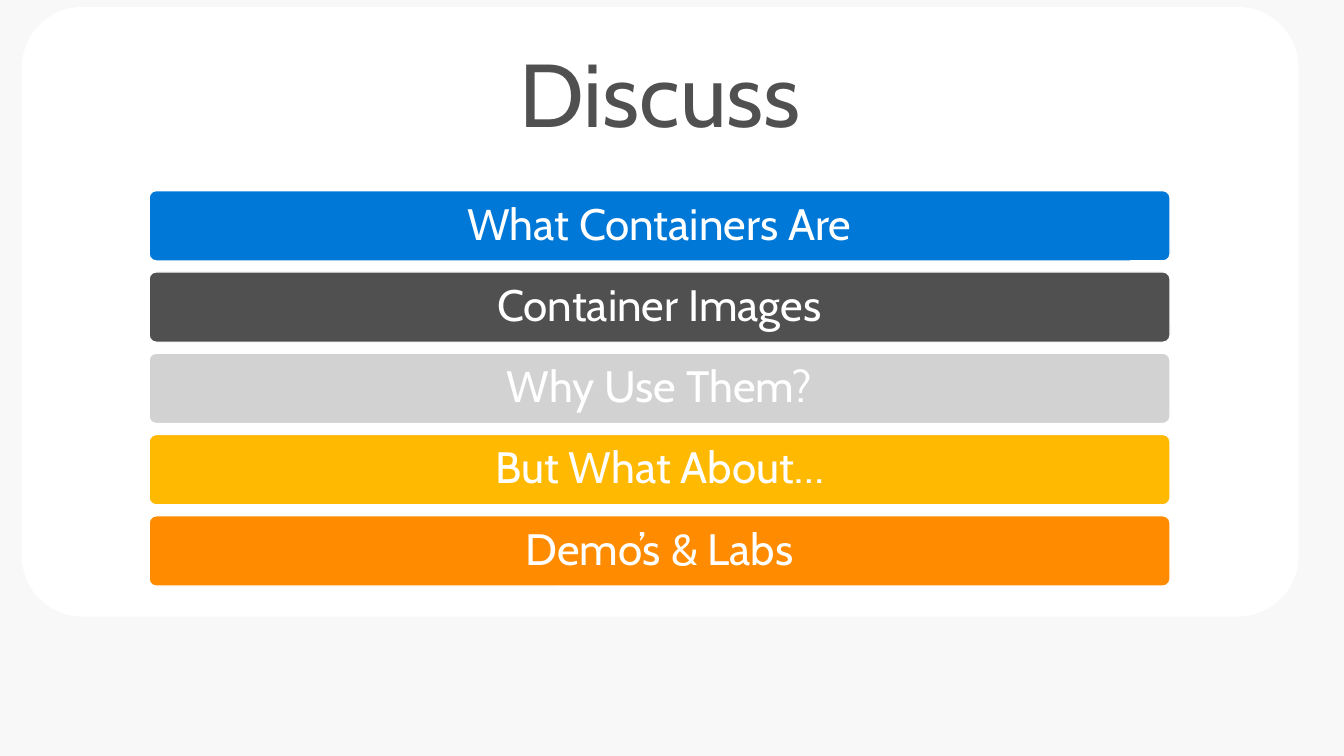
from dataclasses import dataclass

from pptx import Presentation
from pptx.dml.color import RGBColor
from pptx.enum.shapes import MSO_SHAPE
from pptx.enum.text import MSO_ANCHOR, MSO_AUTO_SIZE, PP_ALIGN
from pptx.shapes.autoshape import Shape
from pptx.slide import Slide
from pptx.util import Inches, Pt

ROUNDED = MSO_SHAPE.ROUNDED_RECTANGLE
MIDDLE = MSO_ANCHOR.MIDDLE
NO_FIT = MSO_AUTO_SIZE.NONE
CENTER = PP_ALIGN.CENTER

COLOURS = {
    "background": "F8F8F8",
    "white": "FFFFFF",
    "blue": "0078D7",
    "charcoal": "505050",
    "silver": "D2D2D2",
    "yellow": "FFB900",
    "orange": "FF8C00",
}
CARD_LEFT, CARD_TOP, CARD_WIDTH, CARD_HEIGHT = 0.22, 0.07, 12.92, 6.17
TITLE_HEIGHT = 1.85
BAR_LEFT, BAR_TOP, BAR_WIDTH, BAR_HEIGHT = 1.51, 1.93, 10.33, 0.71
BAR_PITCH = 0.8225


@dataclass
class Topic:
    """A discussion topic and the colour of its bar."""

    text: str
    colour: str


TOPICS = [
    Topic("What Containers Are", "blue"),
    Topic("Container Images", "charcoal"),
    Topic("Why Use Them?", "silver"),
    Topic("But What About…", "yellow"),
    Topic("Demo’s & Labs", "orange"),
]


def colour(name: str) -> RGBColor:
    """Return the named colour."""
    return RGBColor.from_string(COLOURS[name])


def apply_format(target: object, values: dict) -> None:
    """Set every attribute in values on the target."""
    for name, value in values.items():
        setattr(target, name, value)


def add_panel(slide: Slide, left: float, top: float, width: float, height: float, fill: str) -> Shape:
    """Add a rounded rectangle without an outline."""
    panel = slide.shapes.add_shape(ROUNDED, Inches(left), Inches(top), Inches(width), Inches(height))
    panel.adjustments[0] = 0.1
    panel.shadow.inherit = False
    panel.fill.solid()
    panel.fill.fore_color.rgb = colour(fill)
    panel.line.fill.background()
    return panel


def write_text(box: Shape, text: str, size: float, ink: str, side: float, edge: float) -> None:
    """Write one centred paragraph in a box."""
    frame = box.text_frame
    apply_format(frame, {
        "word_wrap": True,
        "auto_size": NO_FIT,
        "vertical_anchor": MIDDLE,
        "margin_left": Inches(side),
        "margin_right": Inches(side),
        "margin_top": Inches(edge),
        "margin_bottom": Inches(edge),
    })
    para = frame.paragraphs[0]
    apply_format(para, {"alignment": CENTER, "line_spacing": 0.9, "space_before": Pt(0)})
    span = para.add_run()
    span.text = text
    apply_format(span.font, {"name": "Cabin", "size": Pt(size), "bold": False})
    span.font.color.rgb = colour(ink)


def add_title(slide: Slide, card: Shape) -> None:
    """Place the slide title on top of the card."""
    title = slide.shapes.title
    apply_format(title, {
        "left": Inches(CARD_LEFT),
        "top": Inches(CARD_TOP),
        "width": Inches(CARD_WIDTH),
        "height": Inches(TITLE_HEIGHT),
    })
    write_text(title, "Discuss", 65, "charcoal", 0.27, 0.27)
    card.element.addnext(title.element)


def add_bar(slide: Slide, index: int, topic: Topic) -> None:
    """Add the bar of one topic at its place in the stack."""
    top = BAR_TOP + index * BAR_PITCH
    bar = add_panel(slide, BAR_LEFT, top, BAR_WIDTH, BAR_HEIGHT, topic.colour)
    bar.line.color.rgb = colour("white")
    bar.line.width = Pt(0.85)
    write_text(bar, topic.text, 32, "white", 0.09, 0.07)


def main() -> None:
    """Build and save the deck."""
    deck = Presentation()
    apply_format(deck, {"slide_width": Inches(13.6), "slide_height": Inches(7.65)})
    slide = deck.slides.add_slide(deck.slide_layouts.get_by_name("Title Only"))
    slide.background.fill.solid()
    slide.background.fill.fore_color.rgb = colour("background")
    card = add_panel(slide, CARD_LEFT, CARD_TOP, CARD_WIDTH, CARD_HEIGHT, "white")
    add_title(slide, card)
    for index, topic in enumerate(TOPICS):
        add_bar(slide, index, topic)
    deck.save("out.pptx")


if __name__ == "__main__":
    main()
